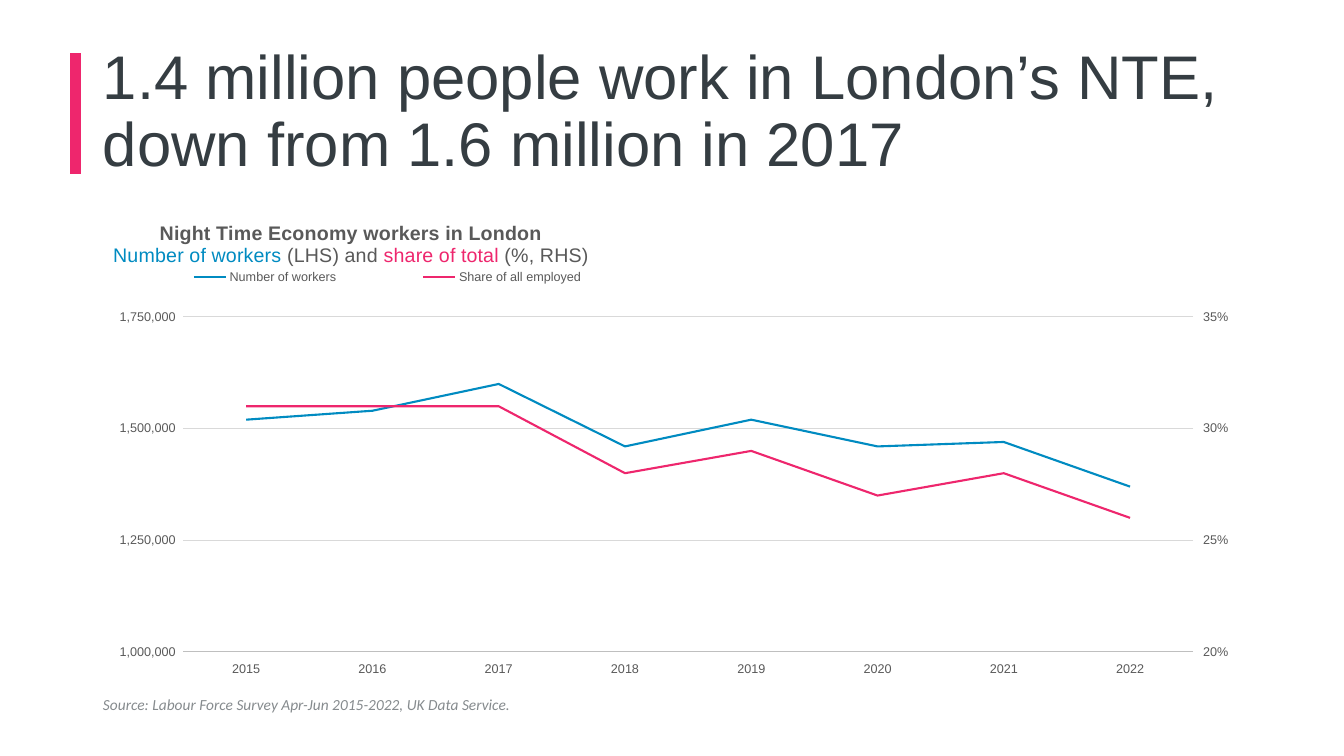
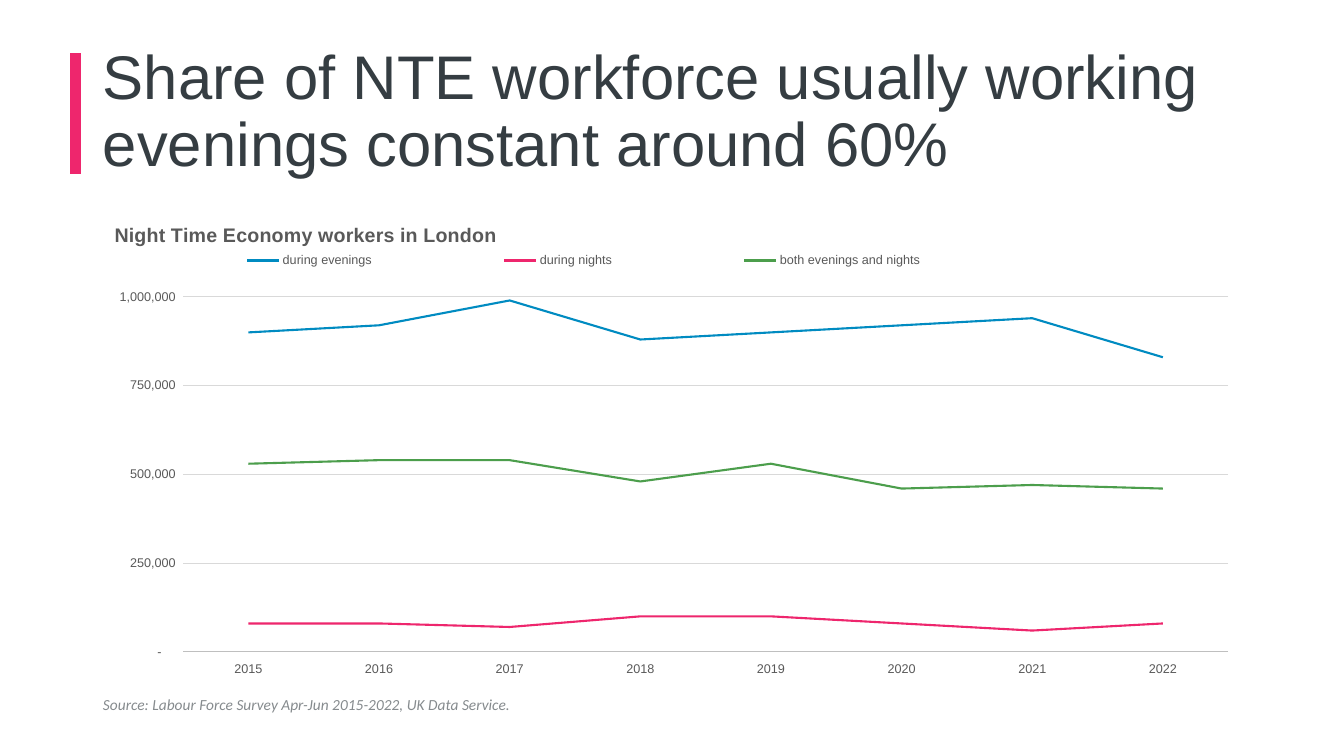
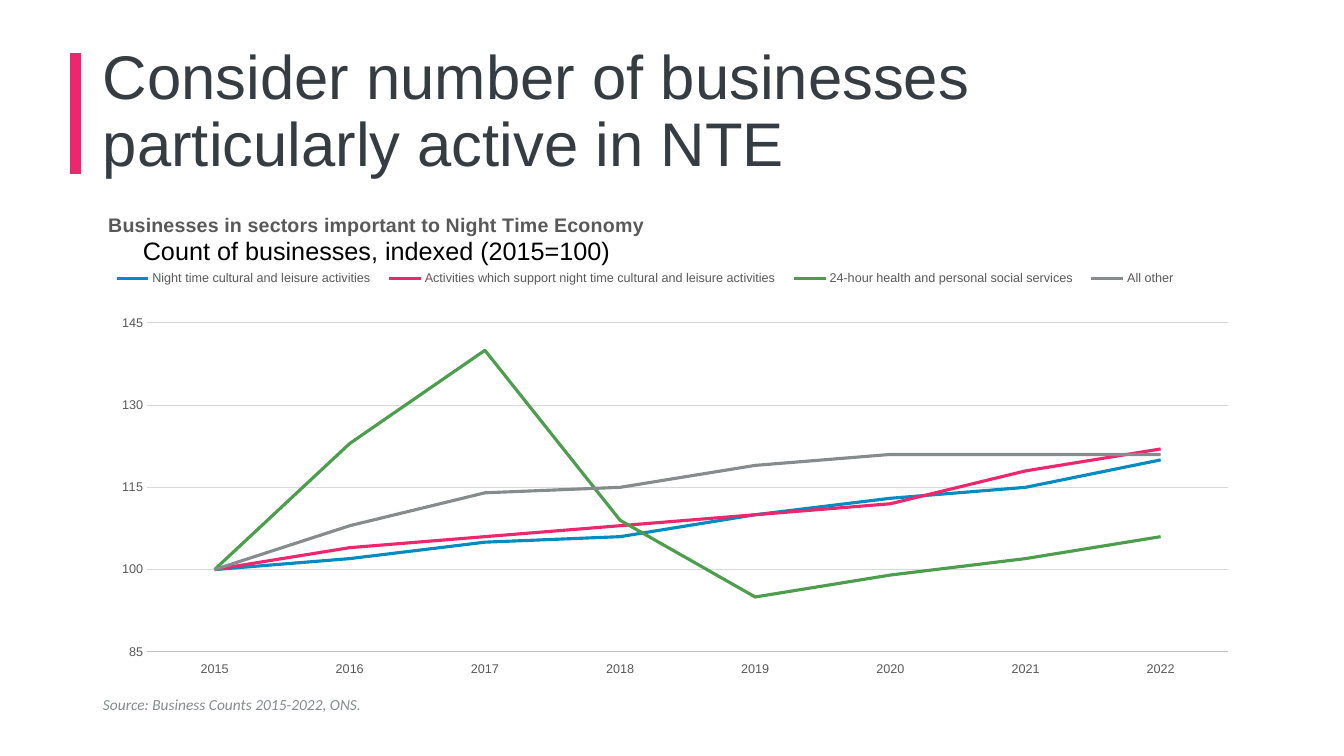
from copy import deepcopy
from pptx import Presentation as Deck
from pptx.chart.data import CategoryChartData as Data
from pptx.dml.color import RGBColor as Rgb
from pptx.enum.chart import XL_CHART_TYPE as Kind
from pptx.enum.chart import XL_LEGEND_POSITION as Spot
from pptx.enum.chart import XL_MARKER_STYLE as Mark
from pptx.enum.chart import XL_TICK_LABEL_POSITION as Label
from pptx.enum.chart import XL_TICK_MARK as Tick
from pptx.enum.shapes import MSO_SHAPE as Form
from pptx.enum.text import MSO_ANCHOR as Anchor
from pptx.oxml import parse_xml
from pptx.oxml.ns import nsdecls, qn
from pptx.util import Emu, Inches, Pt

SCALE = 914400 / 100.8
HUES = {
    "pink": "EE266D", "blue": "008BC1", "green": "4C9E4C", "grey": "868B8E",
    "ink": "353D42", "label": "595959", "grid": "D9D9D9", "axis": "BFBFBF",
    "black": "000000", "white": "FFFFFF",
}
FONTS = {
    "title": {"name": "Arial", "size": Pt(44), "color": "ink"},
    "source": {"name": "Calibri", "size": Pt(11), "italic": True, "color": "grey"},
    "chart": {"name": "Arial", "size": Pt(10), "color": "black"},
    "label": {"name": "Arial", "size": Pt(9), "color": "label"},
    "head": {"name": "Arial", "size": Pt(14), "bold": True, "color": "label"},
    "sub": {"name": "Arial", "size": Pt(14), "bold": False, "color": "label"},
    "blue": {"name": "Arial", "size": Pt(14), "bold": False, "color": "blue"},
    "pink": {"name": "Arial", "size": Pt(14), "bold": False, "color": "pink"},
    "large": {"name": "Arial", "size": Pt(18), "bold": False, "color": "black"},
}
FRAME = (93, 202, 1159, 480)
YEARS = [str(year) for year in range(2015, 2023)]
COUNT = '_-* #,##0_-;\\-* #,##0_-;_-* "-"??_-;_-@_'
SURVEY = "Source: Labour Force Survey Apr-Jun 2015-2022, UK Data Service."


def px(*sizes):
    return [Emu(round(size * SCALE)) for size in sizes]


def rgb(hue):
    return Rgb.from_string(HUES[hue])


def style(font, look):
    for name, value in FONTS[look].items():
        if name == "color":
            font.color.rgb = rgb(value)
        else:
            setattr(font, name, value)


def stroke(line, hue, width):
    line.color.rgb = rgb(hue)
    line.width = Pt(width)


def place(node, index, box, inner=False):
    for old in node.findall(qn("c:layout")):
        node.remove(old)
    left, top, wide, high = FRAME
    parts = [("x", (box[0] - left) / wide), ("y", (box[1] - top) / high)]
    if len(box) == 4:
        parts += [("w", box[2] / wide), ("h", box[3] / high)]
    target = '<c:layoutTarget val="inner"/>' if inner else ""
    modes = "".join(f'<c:{key}Mode val="edge"/>' for key in "xy")
    sizes = "".join(f'<c:{key} val="{value:.4f}"/>' for key, value in parts)
    node.insert(index, parse_xml(
        f'<c:layout {nsdecls("c")}><c:manualLayout>{target}{modes}{sizes}'
        "</c:manualLayout></c:layout>"))


class Board:
    def __init__(self):
        self.deck = Deck()
        self.deck.slide_width = Inches(13.33)
        self.deck.slide_height = Inches(7.5)

    def start(self, title, source):
        self.slide = self.deck.slides.add_slide(self.deck.slide_layouts[6])
        self.bar(70, 53, 11, 121)
        self.text(title, "title", (93, 40, 1159, 146), Anchor.MIDDLE, 0.9)
        self.text(source, "source", (93, 690, 942, 29))

    def bar(self, *box):
        bar = self.slide.shapes.add_shape(Form.RECTANGLE, *px(*box))
        bar.shadow.inherit = False
        bar.fill.solid()
        bar.fill.fore_color.rgb = rgb("pink")
        bar.line.fill.background()

    def text(self, words, look, box, anchor=Anchor.TOP, space=1.0):
        frame = self.slide.shapes.add_textbox(*px(*box)).text_frame
        frame.word_wrap = True
        frame.vertical_anchor = anchor
        para = frame.paragraphs[0]
        para.line_spacing = space
        run = para.add_run()
        run.text = words
        style(run.font, look)

    def chart(self, rows, width, scale, form, plot, key, fill=None):
        data = Data()
        data.categories = YEARS
        for name, hue, values in rows:
            data.add_series(name, values)
        chart = self.slide.shapes.add_chart(
            Kind.LINE, *px(*FRAME), data).chart
        style(chart.font, "chart")
        chart.plots[0].vary_by_categories = False
        for series, (name, hue, values) in zip(chart.plots[0].series, rows):
            series.smooth = False
            series.marker.style = Mark.NONE
            stroke(series.format.line, hue, width)
        self.axes(chart, scale, form)
        chart.has_legend = True
        chart.legend.position = Spot.TOP
        chart.legend.include_in_layout = False
        style(chart.legend.font, "label")
        place(chart.legend._element, 1, key)
        root = chart._chartSpace
        place(root.chart.plotArea, 0, plot, True)
        paint = "<a:noFill/>"
        if fill:
            paint = f'<a:solidFill><a:srgbClr val="{HUES[fill]}"/></a:solidFill>'
        root.chart.addnext(parse_xml(
            f'<c:spPr {nsdecls("c", "a")}>{paint}'
            "<a:ln><a:noFill/></a:ln></c:spPr>"))
        return chart

    def axes(self, chart, scale, form):
        years, axis = chart.category_axis, chart.value_axis
        for each in (years, axis):
            each.major_tick_mark = each.minor_tick_mark = Tick.NONE
            style(each.tick_labels.font, "label")
        years.tick_label_position = Label.LOW
        stroke(years.format.line, "axis", 0.75)
        names = ("minimum_scale", "maximum_scale", "major_unit")
        for name, value in zip(names, scale):
            setattr(axis, name, value)
        axis.format.line.fill.background()
        stroke(axis.major_gridlines.format.line, "grid", 0.75)
        axis.tick_labels.number_format = form
        axis.tick_labels.number_format_is_linked = False

    def head(self, chart, lines, spot):
        frame = chart.chart_title.text_frame
        for index, line in enumerate(lines):
            para = frame.add_paragraph() if index else frame.paragraphs[0]
            for words, look in line:
                run = para.add_run()
                run.text = words
                style(run.font, look)
        chart.chart_title.include_in_layout = False
        place(chart.chart_title._element, 1, spot)

    def right(self, chart, scale, form):
        area = chart._chartSpace.chart.plotArea
        left = area.find(qn("c:lineChart"))
        twin = deepcopy(left)
        left.remove(left.findall(qn("c:ser"))[1])
        twin.remove(twin.findall(qn("c:ser"))[0])
        left.addnext(twin)
        years, axis = area.find(qn("c:catAx")), area.find(qn("c:valAx"))
        side, base = deepcopy(axis), deepcopy(years)
        axis.addnext(side)
        side.addnext(base)
        for node, name in zip(twin.findall(qn("c:axId")), ("5001", "5002")):
            node.set("val", name)
        for node, own, other in ((base, "5001", "5002"), (side, "5002", "5001")):
            node.find(qn("c:axId")).set("val", own)
            node.find(qn("c:crossAx")).set("val", other)
        base.find(qn("c:delete")).set("val", "1")
        side.remove(side.find(qn("c:majorGridlines")))
        low, high, step = scale
        for tag, value in (("axPos", "r"), ("crosses", "max"),
                           ("majorTickMark", "out"), ("majorUnit", step),
                           ("scaling/c:min", low), ("scaling/c:max", high)):
            side.xpath(f"c:{tag}")[0].set("val", str(value))
        side.find(qn("c:numFmt")).set("formatCode", form)


board = Board()

board.start("1.4 million people work in London’s NTE, down from 1.6 million in 2017",
            SURVEY)
jobs = board.chart([
    ("Number of workers", "blue",
     [1520000, 1540000, 1600000, 1460000, 1520000, 1460000, 1470000, 1370000]),
    ("Share of all employed", "pink",
     [0.31, 0.31, 0.31, 0.28, 0.29, 0.27, 0.28, 0.26]),
], 1.5, (1000000, 1750000, 250000), COUNT,
    (183, 317, 1010, 335), (111, 267, 553, 21), "white")
board.head(jobs, [
    [("Night Time Economy workers in London", "head")],
    [("Number of workers", "blue"), (" (LHS) and ", "sub"),
     ("share of total", "pink"), (" (%, RHS)", "sub")],
], (110, 218))
board.right(jobs, (0.2, 0.35, 0.05), "0%")

board.start("Share of NTE workforce usually working evenings constant around 60%",
            SURVEY)
shifts = board.chart([
    ("during evenings", "blue",
     [900000, 920000, 990000, 880000, 900000, 920000, 940000, 830000]),
    ("during nights", "pink",
     [80000, 80000, 70000, 100000, 100000, 80000, 60000, 80000]),
    ("both evenings and nights", "green",
     [530000, 540000, 540000, 480000, 530000, 460000, 470000, 460000]),
], 1.5, (0, 1000000, 250000), COUNT,
    (183, 297, 1045, 355), (119, 250, 929, 21), "white")
board.head(shifts, [[("Night Time Economy workers in London", "head")]], (111, 219))

board.start("Consider number of businesses particularly active in NTE",
            "Source: Business Counts 2015-2022, ONS.")
firms = board.chart([
    ("Night time cultural and leisure activities", "blue",
     [100, 102, 105, 106, 110, 113, 115, 120]),
    ("Activities which support night time cultural and leisure activities", "pink",
     [100, 104, 106, 108, 110, 112, 118, 122]),
    ("24-hour health and personal social services", "green",
     [100, 123, 140, 109, 95, 99, 102, 106]),
    ("All other", "grey", [100, 108, 114, 115, 119, 121, 121, 121]),
], 2.25, (85, 145, 15), "#,##0",
    (147, 323, 1081, 329), (102, 268, 1086, 21))
board.head(firms, [
    [("Businesses in sectors important to Night Time Economy", "head")],
    [("Count of businesses, indexed (2015=100)", "large")],
], (105, 210))

board.deck.save("out.pptx")
